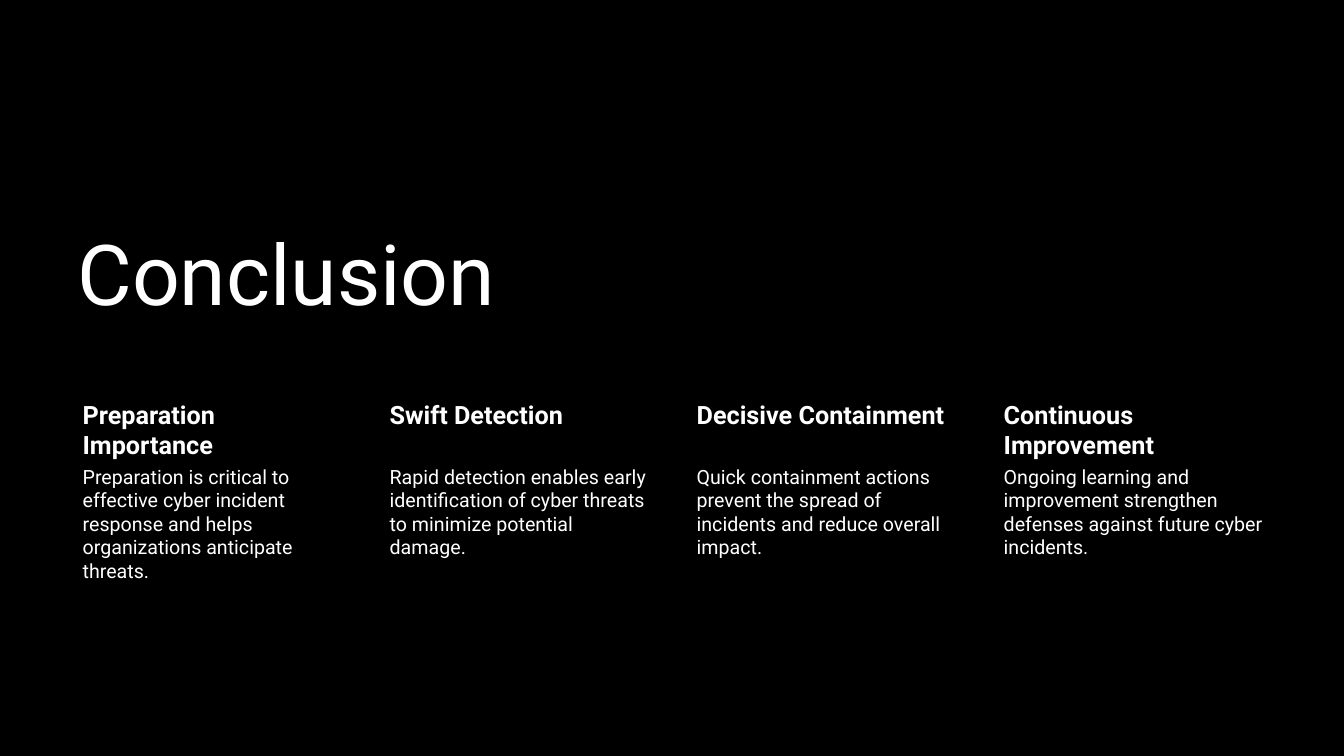
from pptx import Presentation
from pptx.dml.color import RGBColor
from pptx.enum.text import MSO_ANCHOR
from pptx.util import Inches, Pt

BLACK = RGBColor(0x00, 0x00, 0x00)
WHITE = RGBColor(0xFF, 0xFF, 0xFF)
FONT = "Roboto"

LEFT = 0.67
COLUMN_STEP, COLUMN_WIDTH = 3.045, 2.77
HEADING_TOP, HEADING_HEIGHT = 3.93, 0.66
BODY_TOP, BODY_HEIGHT = HEADING_TOP + HEADING_HEIGHT, 2.07

TAKEAWAYS = [
    ("Preparation Importance",
     "Preparation is critical to effective cyber incident response and helps "
     "organizations anticipate threats."),
    ("Swift Detection",
     "Rapid detection enables early identification of cyber threats to "
     "minimize potential damage."),
    ("Decisive Containment",
     "Quick containment actions prevent the spread of incidents and reduce "
     "overall impact."),
    ("Continuous Improvement",
     "Ongoing learning and improvement strengthen defenses against future "
     "cyber incidents."),
]

prs = Presentation()
prs.slide_width, prs.slide_height = Inches(13.33), Inches(7.5)
s = prs.slides.add_slide(prs.slide_layouts[6])
s.background.fill.solid()
s.background.fill.fore_color.rgb = BLACK


def add_text(text, left, top, width, height, size, bold=False, insets=(0.1, 0.05)):
    """Add a white text box; insets are the left one and the other three, in inches."""
    sp = s.shapes.add_textbox(Inches(left), Inches(top), Inches(width), Inches(height))
    tf = sp.text_frame
    tf.word_wrap = True
    tf.margin_left = Inches(insets[0])
    tf.margin_top = tf.margin_right = tf.margin_bottom = Inches(insets[1])
    p = tf.paragraphs[0]
    p.text = text
    p.font.name, p.font.size, p.font.bold = FONT, Pt(size), bold
    p.font.color.rgb = WHITE
    return tf


title = add_text("Conclusion", LEFT, 2.02, 8.03, 1.24, 60)
title.vertical_anchor = MSO_ANCHOR.BOTTOM
title.paragraphs[0].line_spacing = 0.9

for column, (heading, body) in enumerate(TAKEAWAYS):
    left = LEFT + column * COLUMN_STEP
    add_text(heading, left, HEADING_TOP, COLUMN_WIDTH, HEADING_HEIGHT, 18,
             bold=True, insets=(0.15, 0.03))
    add_text(body, left, BODY_TOP, COLUMN_WIDTH, BODY_HEIGHT, 14, insets=(0.15, 0.02))

prs.save("out.pptx")
